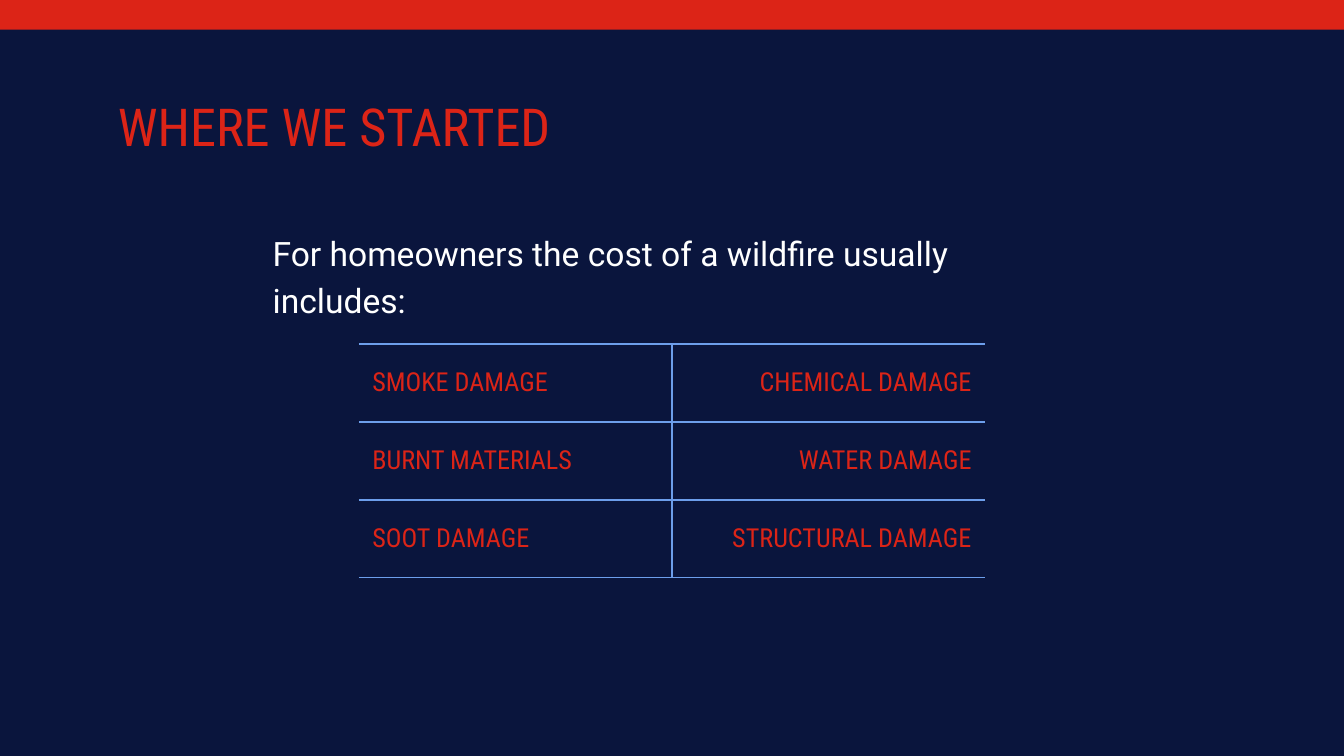
from lxml.etree import SubElement
from pptx import Presentation
from pptx.dml.color import RGBColor
from pptx.enum.shapes import MSO_SHAPE
from pptx.enum.text import MSO_ANCHOR, PP_ALIGN
from pptx.oxml.ns import qn
from pptx.util import Inches, Pt

NAVY, RED, BLUE, WHITE = "0A153D", "DC2417", "6D9EEB", "FFFFFF"
DAMAGES = [
    ("SMOKE DAMAGE", "CHEMICAL DAMAGE"),
    ("BURNT MATERIALS", "WATER DAMAGE"),
    ("SOOT DAMAGE", "STRUCTURAL DAMAGE"),
]
SLIDE_WIDTH = Inches(10)
SLIDE_HEIGHT = SLIDE_WIDTH * 9 // 16
COLUMN_WIDTHS = (2.33, 2.33)
ROW_HEIGHT = 0.58
INSET = Inches(0.1)


def color(value):
    return RGBColor.from_string(value)


def set_margins(item):
    item.margin_left = item.margin_right = INSET
    item.margin_top = item.margin_bottom = INSET


def format_text(paragraph, size, font_name, font_color):
    for run in paragraph.runs:
        run.font.size = Pt(size)
        run.font.name = font_name
        run.font.color.rgb = color(font_color)


def add_band(slide, height, fill):
    shape = slide.shapes.add_shape(
        MSO_SHAPE.RECTANGLE, 0, 0, SLIDE_WIDTH, height
    )
    shape.shadow.inherit = False
    shape.fill.solid()
    shape.fill.fore_color.rgb = color(fill)
    shape.line.fill.background()


def add_text(slide, box, text, size, font_name, font_color, spacing=1.0):
    shape = slide.shapes.add_textbox(*map(Inches, box))
    text_frame = shape.text_frame
    text_frame.word_wrap = True
    text_frame.vertical_anchor = MSO_ANCHOR.TOP
    set_margins(text_frame)
    text_frame.text = text
    paragraph = text_frame.paragraphs[0]
    paragraph.line_spacing = spacing
    format_text(paragraph, size, font_name, font_color)


def set_borders(cell, visible_sides):
    properties = cell._tc.get_or_add_tcPr()
    for side in "LRTB":
        line = SubElement(properties, qn(f"a:ln{side}"), w=str(Pt(0.75)))
        if side in visible_sides:
            fill = SubElement(line, qn("a:solidFill"))
            SubElement(fill, qn("a:srgbClr"), val=BLUE)
        else:
            SubElement(line, qn("a:noFill"))


def fill_cell(cell, text, alignment, visible_sides):
    cell.text = text
    cell.vertical_anchor = MSO_ANCHOR.MIDDLE
    set_margins(cell)
    paragraph = cell.text_frame.paragraphs[0]
    paragraph.alignment = alignment
    format_text(paragraph, 14, "Roboto Condensed", RED)
    set_borders(cell, visible_sides)
    cell.fill.background()


def add_damage_table(slide, left, top):
    table = slide.shapes.add_table(
        len(DAMAGES), len(COLUMN_WIDTHS), Inches(left), Inches(top),
        Inches(sum(COLUMN_WIDTHS)), Inches(ROW_HEIGHT * len(DAMAGES)),
    ).table
    table.first_row = False
    table.horz_banding = False
    for column, width in zip(table.columns, COLUMN_WIDTHS):
        column.width = Inches(width)
    for row, (left_text, right_text) in zip(table.rows, DAMAGES):
        row.height = Inches(ROW_HEIGHT)
        fill_cell(row.cells[0], left_text, PP_ALIGN.LEFT, "RTB")
        fill_cell(row.cells[1], right_text, PP_ALIGN.RIGHT, "LTB")


def main():
    presentation = Presentation()
    presentation.slide_width = SLIDE_WIDTH
    presentation.slide_height = SLIDE_HEIGHT
    slide = presentation.slides.add_slide(presentation.slide_layouts[6])
    add_band(slide, SLIDE_HEIGHT, NAVY)
    add_band(slide, Inches(0.22), RED)
    add_text(slide, (0.78, 0.6, 8.44, 0.51), "WHERE WE STARTED",
             28, "Roboto Condensed", RED)
    add_damage_table(slide, 2.67, 2.56)
    add_text(slide, (1.93, 1.59, 6.11, 0.49),
             "For homeowners the cost of a wildfire usually includes:",
             18, "Roboto", WHITE, 1.15)
    presentation.save("out.pptx")


if __name__ == "__main__":
    main()
